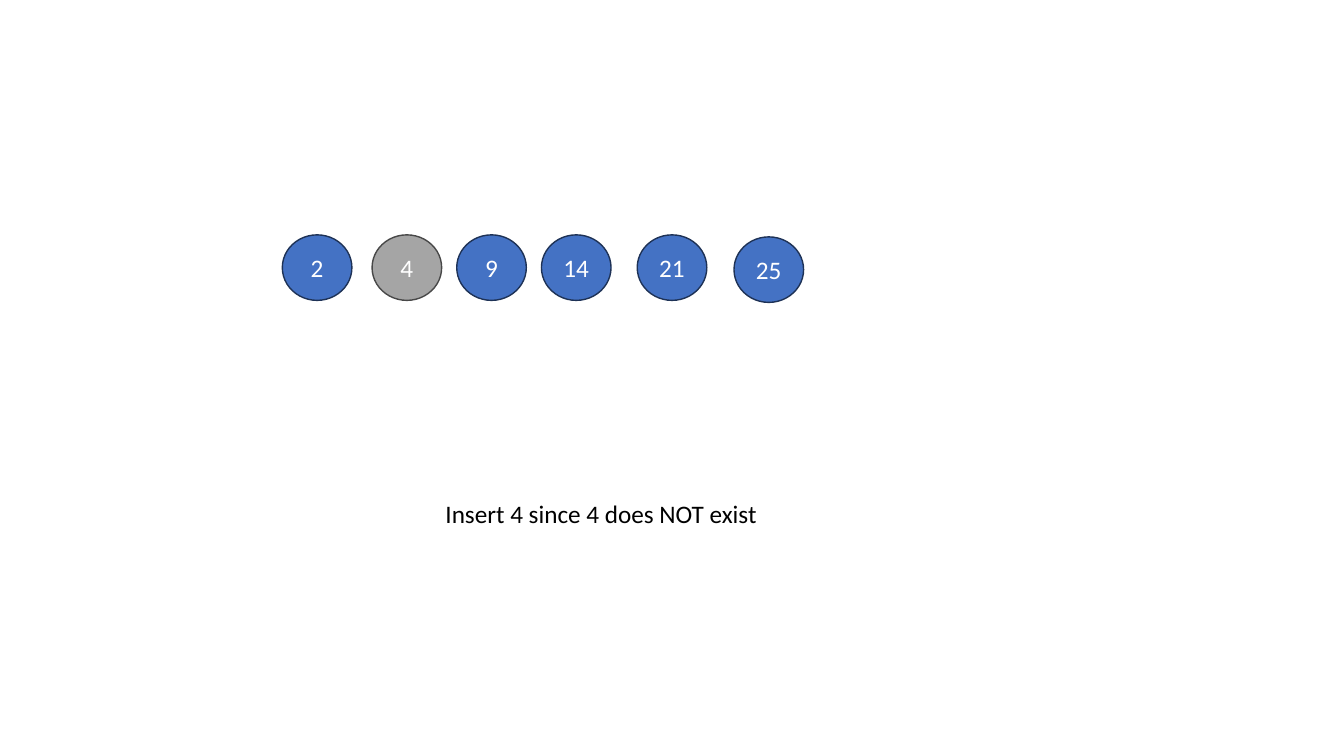
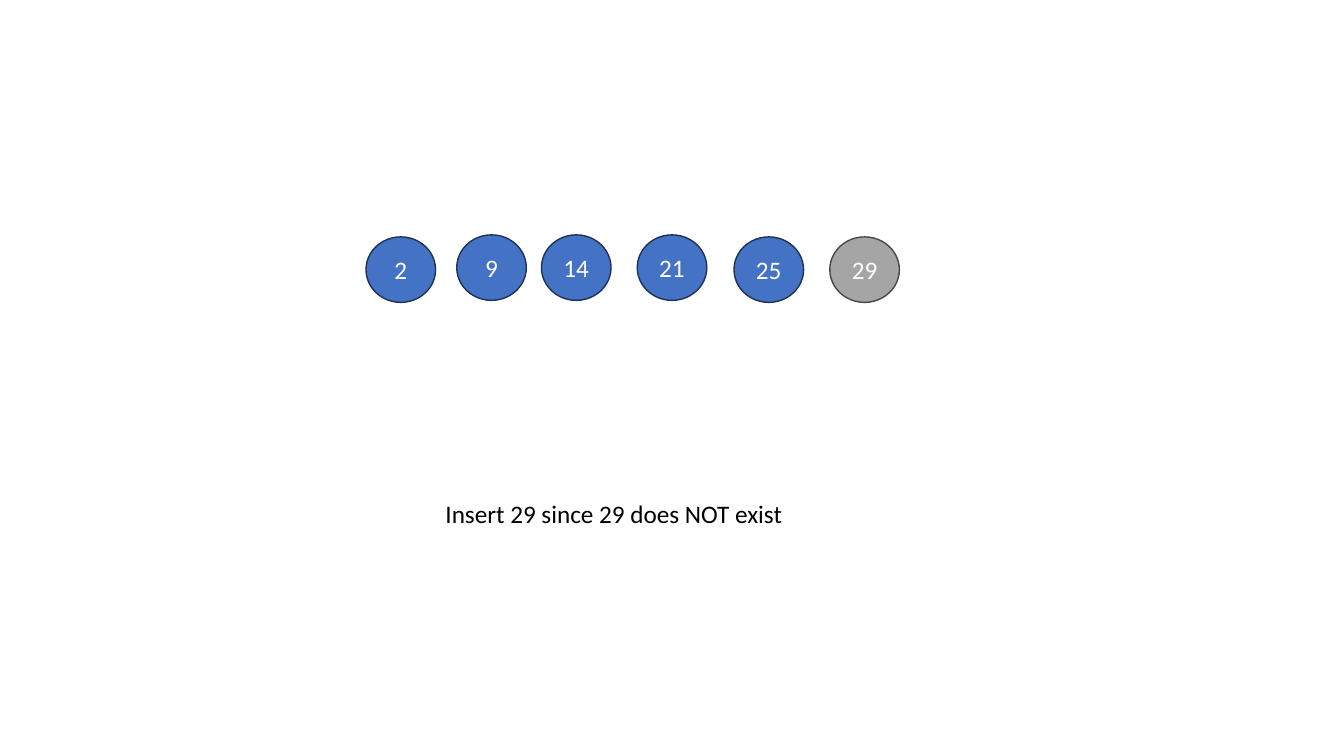
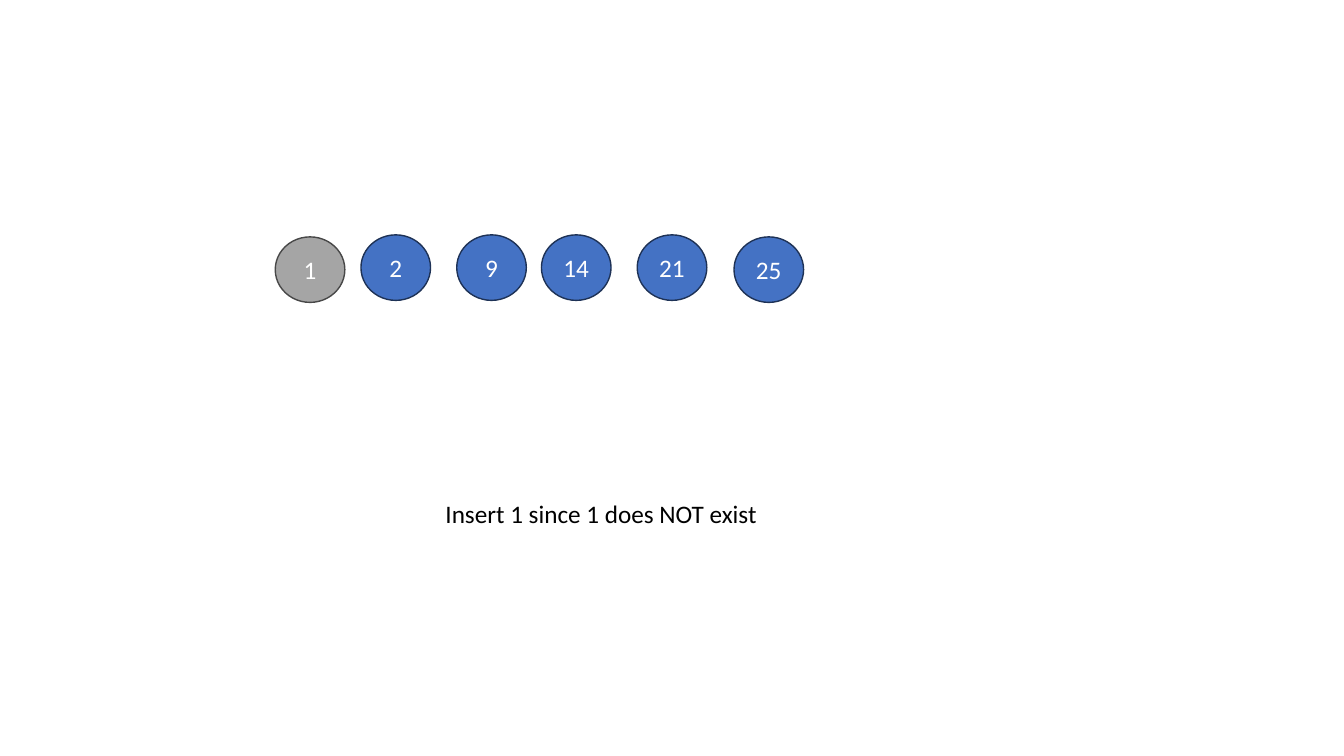
from dataclasses import dataclass

from pptx import Presentation
from pptx import util as u
from pptx.dml.color import RGBColor
from pptx.enum import shapes, text


@dataclass(frozen=True)
class Theme:
    font: str = "Calibri"
    size: int = 18
    stored: tuple = ("4472C4", "1E3256")    # fill, outline
    inserted: tuple = ("A5A5A5", "484848")  # fill, outline
    on_circle: str = "FFFFFF"
    caption: str = "000000"
    outline_width: int = 1


THEME = Theme()

# Boxes: left, top, width, height in inches
ROW_BOX = (2.73, 2.33, 6.19, 0.67)
CAPTION_BOX = (4.32, 4.89, 4.33, 0.4)
CIRCLE_WIDTH, CIRCLE_HEIGHT = 0.69, 0.65
LOWERED = 0.02  # some circles sit slightly below the row's top

# Value: (x, y) inside the row box
SHARED_NUMBERS = {9: (1.8, 0), 14: (2.64, 0), 21: (3.59, 0), 25: (4.55, LOWERED)}

# Inserted value, and the circles that differ from slide to slide
INSERTIONS = [
    (4, {2: (0.07, 0), 4: (0.96, 0)}),
    (29, {2: (0.9, LOWERED), 29: (5.5, LOWERED)}),
    (1, {1: (0, LOWERED), 2: (0.85, 0)}),
]


def write(shape, words, color, alignment):
    """Fill a shape with one line of text in the theme font."""
    shape.text_frame.text = words
    paragraph = shape.text_frame.paragraphs[0]
    paragraph.alignment = alignment
    font = paragraph.runs[0].font
    font.name = THEME.font
    font.size = u.Pt(THEME.size)
    font.color.rgb = RGBColor.from_string(color)


def add_circle(slide, left, top, number, colors):
    circle = slide.shapes.add_shape(
        shapes.MSO_SHAPE.OVAL, u.Inches(left), u.Inches(top),
        u.Inches(CIRCLE_WIDTH), u.Inches(CIRCLE_HEIGHT))
    fill, outline = colors
    circle.shadow.inherit = False
    circle.fill.solid()
    circle.fill.fore_color.rgb = RGBColor.from_string(fill)
    circle.line.color.rgb = RGBColor.from_string(outline)
    circle.line.width = u.Pt(THEME.outline_width)
    circle.text_frame.vertical_anchor = text.MSO_ANCHOR.MIDDLE
    write(circle, str(number), THEME.on_circle, text.PP_ALIGN.CENTER)


def add_number_row(slide, box, numbers, inserted):
    left, top = box[:2]
    for number, (x, y) in sorted(numbers.items()):
        colors = THEME.inserted if number == inserted else THEME.stored
        add_circle(slide, left + x, top + y, number, colors)


def add_caption(slide, box, words):
    caption = slide.shapes.add_textbox(*map(u.Inches, box))
    caption.text_frame.word_wrap = True
    caption.text_frame.auto_size = text.MSO_AUTO_SIZE.SHAPE_TO_FIT_TEXT
    write(caption, words, THEME.caption, text.PP_ALIGN.LEFT)


def add_insertion_slide(presentation, inserted, own_numbers):
    slide = presentation.slides.add_slide(presentation.slide_layouts[6])
    # Sorted numbers, with the new one in grey
    add_number_row(slide, ROW_BOX, {**SHARED_NUMBERS, **own_numbers}, inserted)
    # Explanation below the row
    add_caption(slide, CAPTION_BOX,
                f"Insert {inserted} since {inserted} does NOT exist")


def main():
    presentation = Presentation()
    presentation.slide_width = u.Inches(13.33)
    presentation.slide_height = u.Inches(7.5)
    for inserted, own_numbers in INSERTIONS:
        add_insertion_slide(presentation, inserted, own_numbers)
    presentation.save("out.pptx")


if __name__ == "__main__":
    main()
